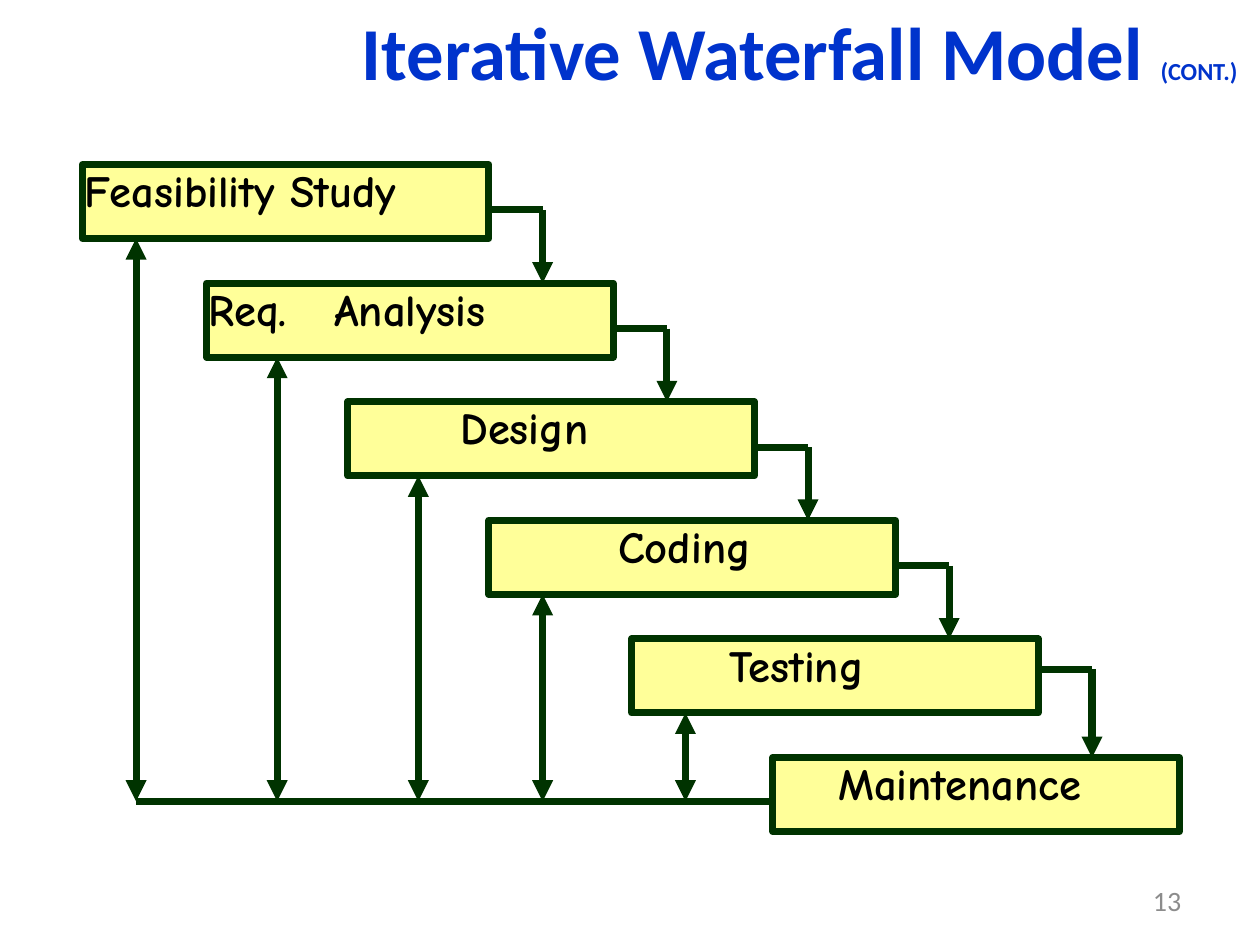
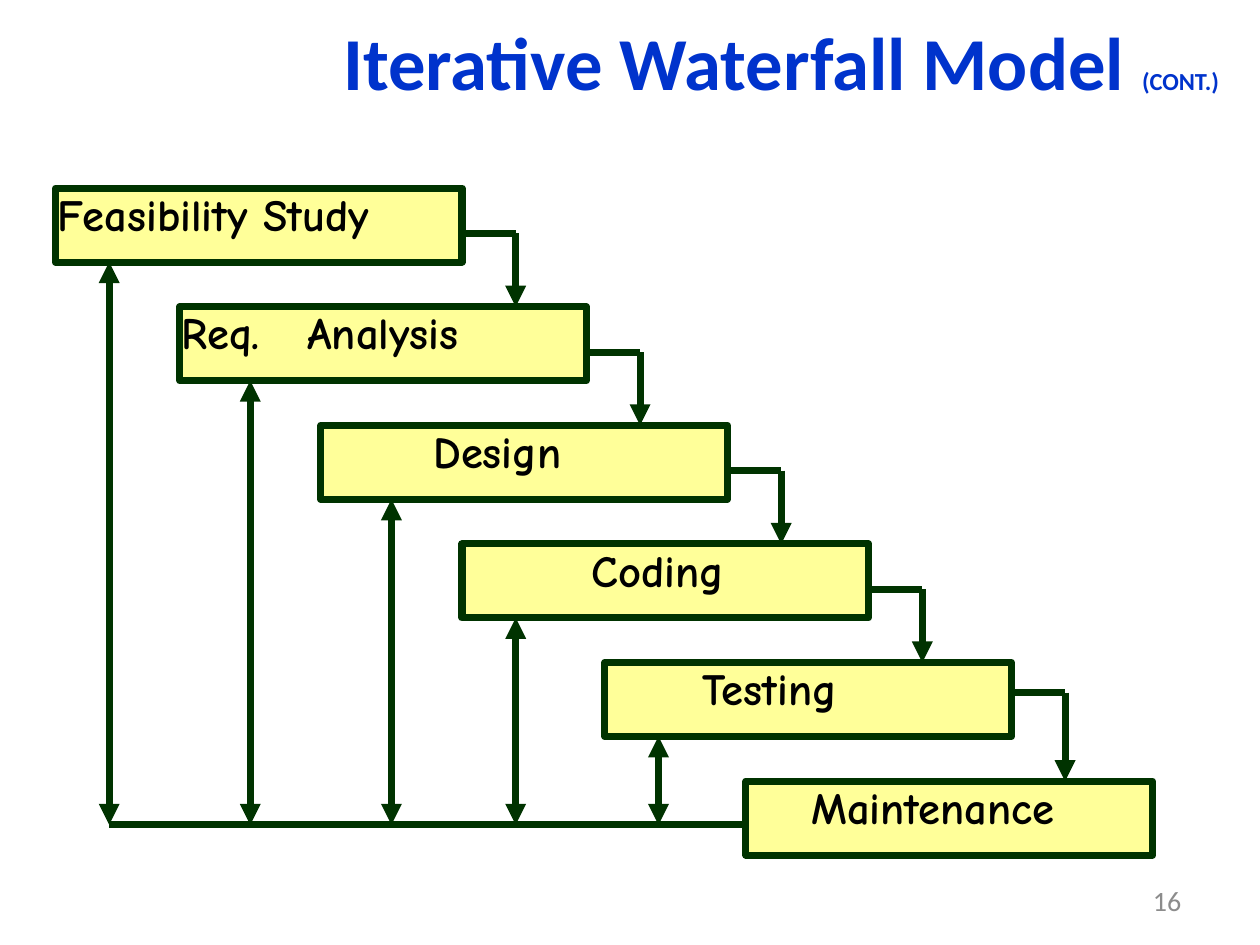
from lxml.etree import SubElement
from pptx import Presentation
from pptx.dml.color import RGBColor
from pptx.enum.shapes import MSO_CONNECTOR, MSO_SHAPE
from pptx.enum.text import MSO_ANCHOR, MSO_AUTO_SIZE, PP_ALIGN
from pptx.oxml.ns import qn
from pptx.util import Inches, Pt

TITLE = [("Iterative Waterfall Model ", 32), ("(CONT.)", 10.5)]

# stage, left offset, text indent, feedback arrow offset, exit line offset
STAGES = [
    ("Feasibility Study", 0, 0, 0.32, 0.27),
    ("Req.\tAnalysis", 0.74, 0, 0.42, 0.27),
    ("Design", 1.58, 0.66, 0.42, 0.27),
    ("Coding", 2.42, 0.76, 0.32, 0.27),
    ("Testing", 3.27, 0.57, 0.32, 0.18),
    ("Maintenance", 4.11, 0.38, None, None),
]

# page number, title position, top left corner of the diagram
SLIDES = [
    ("13", (1.56, -0.22), (0.49, 0.98)),
    ("16", (1.45, -0.16), (0.33, 1.12)),
]

BLUE = RGBColor(0x00, 0x33, 0xCC)
GREEN = RGBColor(0x00, 0x33, 0x00)
YELLOW = RGBColor(0xFF, 0xFF, 0x99)
BLACK = RGBColor(0x00, 0x00, 0x00)
GREY = RGBColor(0x8C, 0x8C, 0x8C)

HEADING_FONT = "Calibri"
STAGE_FONT = "Comic Neue"
LINE_WIDTH = Pt(3)

SLIDE_WIDTH = 7.5
SLIDE_HEIGHT = SLIDE_WIDTH * 3 / 4
BOX_WIDTH, BOX_HEIGHT = 2.42, 0.44
STEP_DOWN = 3.53 / (len(STAGES) - 1)
EXIT_LENGTH = 0.32
FEEDBACK_LEVEL = 3.79
TAB_STOP = 0.75


def set_margins(frame, left=0.01):
    frame.margin_left, frame.margin_right = Inches(left), Inches(0.01)
    frame.margin_top = frame.margin_bottom = Inches(0.04)
    frame.word_wrap = True
    frame.auto_size = MSO_AUTO_SIZE.NONE


def style_font(font, name, color, size=None, bold=False):
    font.name, font.bold = name, bold
    font.color.rgb = color
    if size:
        font.size = Pt(size)


def add_title(slide, position):
    title = slide.shapes.title
    title.left, title.top = map(Inches, position)
    title.width, title.height = Inches(6.4), Inches(1.1)
    frame = title.text_frame
    set_margins(frame)
    frame.vertical_anchor = MSO_ANCHOR.MIDDLE
    heading = frame.paragraphs[0]
    heading.alignment = PP_ALIGN.CENTER
    heading.line_spacing, heading.space_before = 0.94, Pt(6.8)
    style_font(heading.font, HEADING_FONT, BLUE, bold=True)
    for words, size in TITLE:
        run = heading.add_run()
        run.text = words
        run.font.size = Pt(size)


def add_page_number(slide, number):
    box = slide.shapes.add_textbox(Inches(5.38), Inches(5.21), Inches(1.75), Inches(0.3))
    frame = box.text_frame
    frame.word_wrap = True
    frame.vertical_anchor = MSO_ANCHOR.MIDDLE
    paragraph = frame.paragraphs[0]
    paragraph.text = number
    paragraph.alignment = PP_ALIGN.RIGHT
    style_font(paragraph.font, HEADING_FONT, GREY, 12)


def add_stage(slide, name, left, top, indent):
    box = slide.shapes.add_shape(
        MSO_SHAPE.ROUNDED_RECTANGLE,
        Inches(left), Inches(top), Inches(BOX_WIDTH), Inches(BOX_HEIGHT))
    box.adjustments[0] = 0
    box.shadow.inherit = False
    box.fill.solid()
    box.fill.fore_color.rgb = YELLOW
    box.line.color.rgb, box.line.width = GREEN, LINE_WIDTH
    frame = box.text_frame
    set_margins(frame, 0.01 + indent)
    frame.vertical_anchor = MSO_ANCHOR.TOP
    label = frame.paragraphs[0]
    label.text = name
    label.alignment = PP_ALIGN.LEFT
    label.line_spacing, label.space_before = 0.85, Pt(7.7)
    if "\t" in name:
        tabs = SubElement(label._p.get_or_add_pPr(), qn("a:tabLst"))
        SubElement(tabs, qn("a:tab"), pos=str(Inches(TAB_STOP)), algn="l")
    style_font(label.font, STAGE_FONT, BLACK, 19.1, bold=True)


def add_line(slide, start, end, arrowheads=()):
    """Arrowheads are headEnd (at the start) and tailEnd (at the end), in that order."""
    line = slide.shapes.add_connector(
        MSO_CONNECTOR.STRAIGHT, *map(Inches, (*start, *end)))
    line.line.color.rgb, line.line.width = GREEN, LINE_WIDTH
    outline = line.line._get_or_add_ln()
    for arrowhead in arrowheads:
        SubElement(outline, qn(f"a:{arrowhead}"), type="triangle")
    SubElement(line._element.spPr, qn("a:effectLst"))


def add_waterfall(slide, left, top):
    level = top + FEEDBACK_LEVEL
    for i, (name, offset, indent, feedback, exit_drop) in enumerate(STAGES):
        x, y = left + offset, top + i * STEP_DOWN
        add_stage(slide, name, x, y, indent)
        if feedback is None:
            add_line(slide, (x, level), (left + STAGES[0][3], level))
            continue
        right = x + BOX_WIDTH
        corner = (right + EXIT_LENGTH, y + exit_drop)
        add_line(slide, (right, y + exit_drop), corner)
        add_line(slide, corner, (corner[0], y + STEP_DOWN), ["tailEnd"])
        add_line(slide, (x + feedback, level), (x + feedback, y + BOX_HEIGHT),
                 ["headEnd", "tailEnd"])


def main():
    deck = Presentation()
    deck.slide_width, deck.slide_height = Inches(SLIDE_WIDTH), Inches(SLIDE_HEIGHT)
    title_only = deck.slide_layouts[5]
    for number, title_position, corner in SLIDES:
        slide = deck.slides.add_slide(title_only)
        add_title(slide, title_position)
        add_waterfall(slide, *corner)
        add_page_number(slide, number)
    deck.save("out.pptx")


if __name__ == "__main__":
    main()
